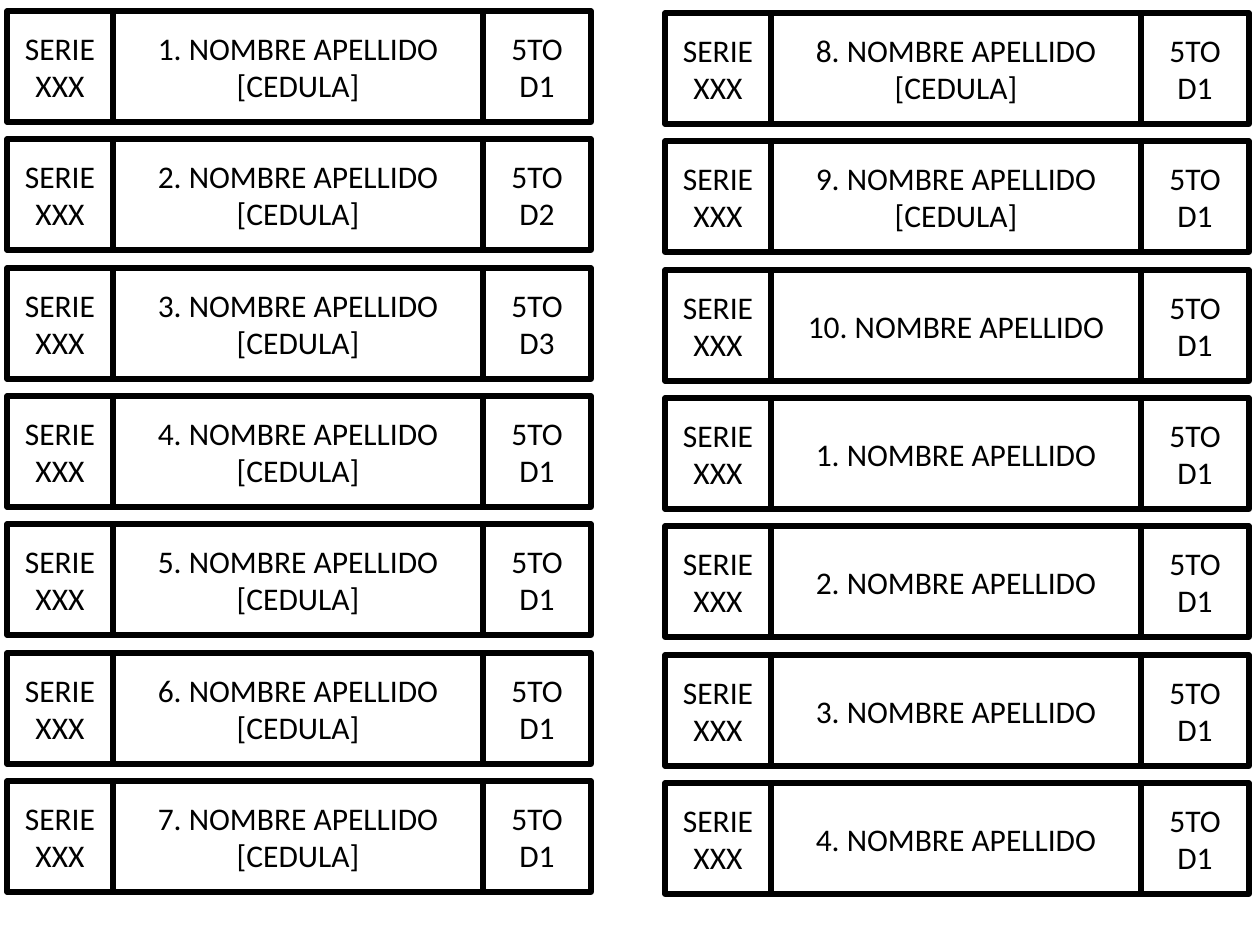
import pptx
import pptx.dml.color
import pptx.enum.shapes
import pptx.enum.text
import pptx.util

SERIES = ["SERIE", "XXX"]
NAME = "NOMBRE APELLIDO"
ID_LINE = "[CEDULA]"
GRADE = "5TO"
LABEL_COLUMNS = [
    {"left": 7, "top": 11, "labels": [
        (1, True, "D1"), (2, True, "D2"), (3, True, "D3"), (4, True, "D1"),
        (5, True, "D1"), (6, True, "D1"), (7, True, "D1")]},
    {"left": 665, "top": 13, "labels": [
        (8, True, "D1"), (9, True, "D1"), (10, False, "D1"), (1, False, "D1"),
        (2, False, "D1"), (3, False, "D1"), (4, False, "D1")]},
]
COLORS = {"paper": "FFFFFF", "ink": "000000"}
FONT = "Calibri"
CELL_WIDTHS = [106, 370, 108]
CELL_HEIGHT = 111
LAST_ROW_OFFSET = 770
SCALE = 914400 / 126


def px(length):
    return round(length * SCALE)


def color(name):
    return pptx.dml.color.RGBColor.from_string(COLORS[name])


def add_span(para, text):
    span = para.add_run()
    span.text = text
    span.font.name = FONT
    span.font.size = pptx.util.Pt(18)
    span.font.color.rgb = color("ink")


def add_cell(group, left, top, width, paragraphs):
    box = group.shapes.add_shape(
        pptx.enum.shapes.MSO_SHAPE.RECTANGLE,
        px(left), px(top), px(width), px(CELL_HEIGHT))
    box.shadow.inherit = False
    box.fill.solid()
    box.fill.fore_color.rgb = color("paper")
    box.line.color.rgb = color("ink")
    box.line.width = pptx.util.Pt(3)
    frame = box.text_frame
    frame.word_wrap = True
    frame.vertical_anchor = pptx.enum.text.MSO_ANCHOR.MIDDLE
    for index, lines in enumerate(paragraphs):
        para = frame.add_paragraph() if index else frame.paragraphs[0]
        para.alignment = pptx.enum.text.PP_ALIGN.CENTER
        for number, line in enumerate(lines):
            if number:
                para.add_line_break()
            add_span(para, line)


def add_label(page, left, top, number, has_id, section):
    group = page.shapes.add_group_shape()
    person = [[f"{number}. {NAME}"]] + ([[ID_LINE]] if has_id else [])
    contents = [[SERIES], person, [[GRADE, section]]]
    for width, paragraphs in zip(CELL_WIDTHS, contents):
        add_cell(group, left, top, width, paragraphs)
        left += width


def main():
    deck = pptx.Presentation()
    deck.slide_width = px(1260)
    deck.slide_height = px(945)
    page = deck.slides.add_slide(deck.slide_layouts[6])
    for row_pair in zip(*(column["labels"] for column in LABEL_COLUMNS)):
        row = LABEL_COLUMNS[0]["labels"].index(row_pair[0])
        offset = round(row * LAST_ROW_OFFSET / 6)
        for column, label in zip(LABEL_COLUMNS, row_pair):
            add_label(page, column["left"], column["top"] + offset, *label)
    deck.save("out.pptx")


if __name__ == "__main__":
    main()
